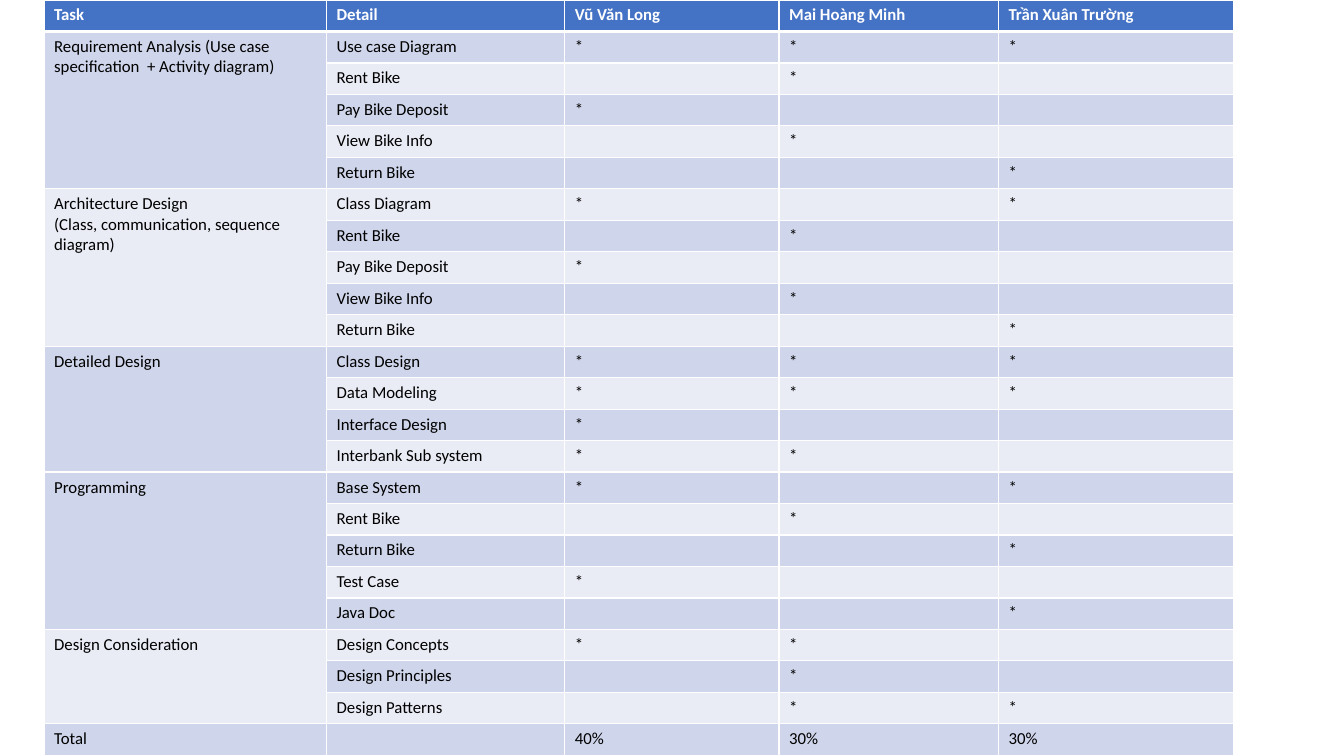
import pptx
import pptx.dml.color
import pptx.oxml
import pptx.oxml.ns
import pptx.util

PX = 9525  # EMU per px, 96 px to the inch
PAGE_WIDTH, PAGE_HEIGHT = 1280, 720
TABLE_LEFT, TABLE_TOP, ROW_HEIGHT = 42, 0, 30
COLUMN_WIDTHS = [269, 227, 204, 209, 224]

HEADER_FILL, ODD_FILL, EVEN_FILL = "4472C4", "CFD5EA", "E9EBF5"
WHITE, BLACK = "FFFFFF", "000000"

HEADINGS = ["Task", "Detail", "Vũ Văn Long", "Mai Hoàng Minh", "Trần Xuân Trường"]
# Task, then its details with a mark for each member who took part
TASKS = [
    ("Requirement Analysis (Use case specification  + Activity diagram)", [
        ("Use case Diagram", "*", "*", "*"),
        ("Rent Bike", "", "*", ""),
        ("Pay Bike Deposit", "*", "", ""),
        ("View Bike Info", "", "*", ""),
        ("Return Bike", "", "", "*"),
    ]),
    ("Architecture Design\n(Class, communication, sequence diagram)", [
        ("Class Diagram", "*", "", "*"),
        ("Rent Bike", "", "*", ""),
        ("Pay Bike Deposit", "*", "", ""),
        ("View Bike Info", "", "*", ""),
        ("Return Bike", "", "", "*"),
    ]),
    ("Detailed Design", [
        ("Class Design", "*", "*", "*"),
        ("Data Modeling", "*", "*", "*"),
        ("Interface Design", "*", "", ""),
        ("Interbank Sub system", "*", "*", ""),
    ]),
    ("Programming", [
        ("Base System", "*", "", "*"),
        ("Rent Bike", "", "*", ""),
        ("Return Bike", "", "", "*"),
        ("Test Case", "*", "", ""),
        ("Java Doc", "", "", "*"),
    ]),
    ("Design Consideration", [
        ("Design Concepts", "*", "*", ""),
        ("Design Principles", "", "*", ""),
        ("Design Patterns", "", "*", "*"),
    ]),
    ("Total", [("", "40%", "30%", "30%")]),
]


def px(length):
    return pptx.util.Emu(length * PX)


def color(hex_string):
    return pptx.dml.color.RGBColor.from_string(hex_string)


def add_borders(cell, widths):
    """Draw white cell borders; widths maps a side (L, R, T, B) to points."""
    properties = cell._tc.get_or_add_tcPr()
    for side, width in widths.items():
        properties.append(pptx.oxml.parse_xml(
            f'<a:ln{side} {pptx.oxml.ns.nsdecls("a")} w="{pptx.util.Pt(width)}">'
            f'<a:solidFill><a:srgbClr val="{WHITE}"/></a:solidFill></a:ln{side}>'))


def fill_cell(cell, text, row):
    header = row == 0
    add_borders(cell, {"L": 1, "R": 1, "T": 3 if row == 1 else 1, "B": 3 if header else 1})
    cell.fill.solid()
    cell.fill.fore_color.rgb = color(HEADER_FILL if header else ODD_FILL if row % 2 else EVEN_FILL)
    cell.text_frame.text = text
    for para in cell.text_frame.paragraphs:
        para.font.name = "Calibri"
        para.font.size = pptx.util.Pt(12)
        para.font.bold = header
        para.font.color.rgb = color(WHITE if header else BLACK)


def main():
    rows, merges = [HEADINGS], []
    for task, details in TASKS:
        first = len(rows)
        for detail in details:
            rows.append([task if len(rows) == first else "", *detail])
        if len(details) > 1:
            merges.append((first, len(rows) - 1))

    deck = pptx.Presentation()
    deck.slide_width, deck.slide_height = px(PAGE_WIDTH), px(PAGE_HEIGHT)
    page = deck.slides.add_slide(deck.slide_layouts[6])
    table = page.shapes.add_table(
        len(rows), len(HEADINGS), px(TABLE_LEFT), px(TABLE_TOP),
        px(sum(COLUMN_WIDTHS)), px(ROW_HEIGHT * len(rows))).table
    for column, width in zip(table.columns, COLUMN_WIDTHS):
        column.width = px(width)
    for index, texts in enumerate(rows):
        table.rows[index].height = px(ROW_HEIGHT)
        for column, text in enumerate(texts):
            fill_cell(table.cell(index, column), text, index)
    for first, last in merges:
        table.cell(first, 0).merge(table.cell(last, 0))
    deck.save("out.pptx")


if __name__ == "__main__":
    main()
